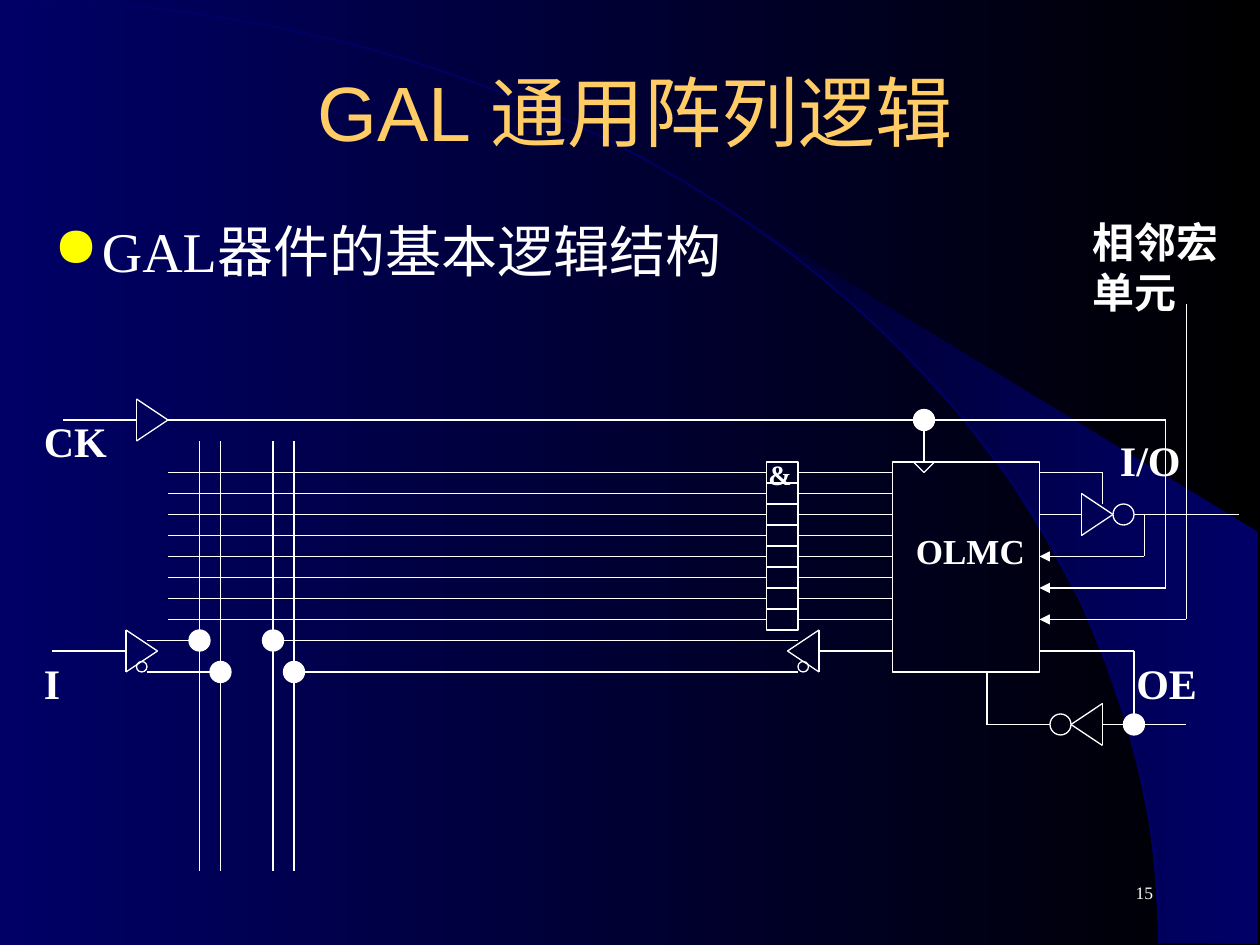
from typing import NamedTuple

from lxml import etree
from pptx import Presentation
from pptx.dml.color import RGBColor
from pptx.enum.shapes import MSO_CONNECTOR, MSO_SHAPE
from pptx.enum.text import MSO_ANCHOR, PP_ALIGN
from pptx.oxml.ns import qn
from pptx.util import Inches, Pt

COLORS = {"ink": "FFFFFF", "title": "FFCC66", "bullet": "FFFF00",
          "navy": "000066", "dusk": "00002F", "black": "000000"}
SERIF, SANS = "Times New Roman", "Arial"
TOP, LEFT, BOTTOM, RIGHT = range(4)  # connection sites of a rectangle


class Label(NamedTuple):
    text: str
    box: tuple[float, float, float, float]  # inches
    size: float
    bold: bool = True
    font: str = SERIF
    color: str = "ink"
    align: PP_ALIGN = PP_ALIGN.LEFT
    anchor: MSO_ANCHOR = MSO_ANCHOR.TOP
    side_inset: float = 0.1


# The circuit lies on a grid of twelfths of an inch
class Wire(NamedTuple):
    points: list[tuple[int, int]]
    arrow: bool = False


class Gate(NamedTuple):
    base: int
    tip: int
    middle: int


class Circle(NamedTuple):
    x: int
    y: int
    size: int = 2
    filled: bool = False


def rgb(name: str) -> RGBColor:
    return RGBColor.from_string(COLORS[name])


def grid(steps: float) -> int:
    return Inches(steps / 12)


def set_gradient(fill, start: str, end: str) -> None:
    fill.gradient()
    fill.gradient_angle = 0
    for stop, name, position in zip(fill.gradient_stops, (start, end), (0, 1)):
        stop.color.rgb = rgb(name)
        stop.position = position


def add_outline(points: list[tuple[float, float]], close: bool):
    corners = [(Inches(x), Inches(y)) for x, y in points]
    builder = slide.shapes.build_freeform(*corners[0])
    builder.add_line_segments(corners[1:], close=close)
    outline = builder.convert_to_shape()
    outline.shadow.inherit = False
    return outline


def add_label(label: Label):
    box = slide.shapes.add_textbox(*map(Inches, label.box))
    frame = box.text_frame
    frame.word_wrap = True
    frame.vertical_anchor = label.anchor
    frame.margin_left = frame.margin_right = Inches(label.side_inset)
    paragraph = frame.paragraphs[0]
    paragraph.text = label.text
    paragraph.alignment = label.align
    font = paragraph.font
    font.name, font.size, font.bold = label.font, Pt(label.size), label.bold
    font.color.rgb = rgb(label.color)
    return paragraph


def add_bullet(paragraph) -> None:
    properties = paragraph._p.get_or_add_pPr()
    properties.set("marL", str(Inches(0.38)))
    properties.set("indent", str(-Inches(0.38)))
    color = etree.Element(qn("a:buClr"))
    etree.SubElement(color, qn("a:srgbClr"), val=COLORS["bullet"])
    mark = etree.Element(qn("a:buChar"), char="●")
    properties.insert(0, color)
    properties.insert(1, mark)


def add_part(kind: MSO_SHAPE, x: int, y: int, width: int, height: int, filled: bool = False):
    part = slide.shapes.add_shape(kind, grid(x), grid(y), grid(width), grid(height))
    part.shadow.inherit = False
    if filled:
        part.fill.solid()
        part.fill.fore_color.rgb = rgb("ink")
    else:
        part.fill.background()
    part.line.color.rgb = rgb("ink")
    part.line.width = Pt(0.75)
    return part


def add_segment(start: tuple[int, int], end: tuple[int, int], arrow: bool = False):
    segment = slide.shapes.add_connector(
        MSO_CONNECTOR.STRAIGHT, *map(grid, start), *map(grid, end))
    segment.line.color.rgb = rgb("ink")
    segment.line.width = Pt(0.75)
    if arrow:
        etree.SubElement(segment.line._get_or_add_ln(), qn("a:tailEnd"), type="triangle")
    etree.SubElement(segment._element.spPr, qn("a:effectLst"))
    return segment


def add_wire(wire: Wire) -> None:
    last = len(wire.points) - 2
    for i, ends in enumerate(zip(wire.points, wire.points[1:])):
        add_segment(*ends, arrow=wire.arrow and i == last)


def add_gate(gate: Gate) -> None:
    upper, lower = (gate.base, gate.middle - 2), (gate.base, gate.middle + 2)
    add_wire(Wire([upper, lower, (gate.tip, gate.middle), upper]))


prs = Presentation()
prs.slide_width, prs.slide_height = Inches(10), Inches(7.5)
slide = prs.slides.add_slide(prs.slide_layouts[6])

# Backdrop: gradient, lit wedge and arc
set_gradient(slide.background.fill, "navy", "black")
wedge = add_outline([
    (9.2, 7.48), (9.99, 7.49), (9.99, 4.23), (5.89, 1.73), (6.24, 1.99), (6.53, 2.22),
    (6.85, 2.5), (7.16, 2.8), (7.62, 3.3), (8.03, 3.84), (8.32, 4.31), (8.58, 4.79),
    (8.78, 5.28), (8.93, 5.72), (9.03, 6.09), (9.13, 6.56), (9.17, 6.96)], close=True)
set_gradient(wedge.fill, "dusk", "navy")
wedge.line.fill.background()

ARC_STEPS = 40
arc_points = []
for step in range(ARC_STEPS + 1):
    t = step / ARC_STEPS
    u = 1 - t
    arc_points.append((3 * u * u * t * 5.08 + 3 * u * t * t * 9.2 + t ** 3 * 9.2,
                       3 * u * t * t * 3.35 + t ** 3 * 7.49))
arc = add_outline(arc_points, close=False)
arc.fill.background()
arc.line.color.rgb = rgb("navy")
arc.line.width = Pt(1)

# Headings and slide number
add_label(Label("15", (7.17, 6.83, 2.08, 0.5), 10, False,
                align=PP_ALIGN.RIGHT, anchor=MSO_ANCHOR.MIDDLE))
add_label(Label("GAL 通用阵列逻辑", (0.33, 0.25, 9.42, 1.25), 44, False, SANS, "title",
                PP_ALIGN.CENTER, MSO_ANCHOR.MIDDLE))
add_bullet(add_label(Label("GAL器件的基本逻辑结构", (0.33, 1.67, 9.42, 5), 32, False)))

# Macrocell and AND array
add_part(MSO_SHAPE.RECTANGLE, 85, 44, 14, 20)
for row in range(45, 60, 2):
    and_cell = add_part(MSO_SHAPE.RECTANGLE, 73, row - 1, 3, 2)
    add_segment((16, row), (73, row)).end_connect(and_cell, LEFT)
    add_segment((76, row), (85, row)).begin_connect(and_cell, RIGHT)
for column in (19, 21, 26, 28):
    add_segment((column, 42), (column, 83))

# Buffers: clock, input, feedback, output, output enable
for gate in (Gate(13, 16, 40), Gate(12, 15, 62), Gate(78, 75, 62),
             Gate(103, 106, 49), Gate(105, 102, 69)):
    add_gate(gate)

WIRES = [
    # Clock
    Wire([(6, 40), (13, 40)]), Wire([(16, 40), (88, 40), (88, 44)]),
    Wire([(87, 44), (88, 45), (89, 44)]),
    Wire([(88, 40), (111, 40), (111, 56), (99, 56)], arrow=True),
    # Input and feedback
    Wire([(5, 62), (12, 62)]), Wire([(14, 61), (19, 61)]), Wire([(14, 64), (21, 64)]),
    Wire([(78, 62), (85, 62)]), Wire([(26, 61), (76, 61)]), Wire([(28, 64), (76, 64)]),
    # Output
    Wire([(99, 49), (103, 49)]), Wire([(108, 49), (118, 49)]),
    Wire([(99, 45), (105, 45), (105, 48)]),
    Wire([(109, 49), (109, 53), (99, 53)], arrow=True),
    # Output enable
    Wire([(105, 69), (113, 69)]), Wire([(99, 62), (108, 62), (108, 69)]),
    Wire([(100, 69), (94, 69), (94, 64)]),
    # Neighbouring macrocell
    Wire([(113, 29), (113, 59), (99, 59)], arrow=True),
]
for wire in WIRES:
    add_wire(wire)

# Inversion bubbles and junction dots
bubbles = [Circle(13, 63, 1), Circle(76, 63, 1), Circle(106, 48), Circle(100, 68)]
junctions = [(19, 61), (21, 64), (26, 61), (28, 64), (88, 40), (108, 69)]
dots = [Circle(x - 1, y - 1, filled=True) for x, y in junctions]
for circle in bubbles + dots:
    add_part(MSO_SHAPE.OVAL, circle.x, circle.y, circle.size, circle.size, circle.filled)

# Circuit labels
for label in (Label("OLMC", (7.17, 4.15, 1.08, 0.44), 20),
              Label("&", (6, 3.58, 0.42, 0.37), 16),
              Label("I", (0.25, 5.17, 0.67, 0.5), 24),
              Label("CK", (0.25, 3.25, 0.83, 0.5), 24),
              Label("OE", (8.92, 5.17, 0.75, 0.5), 24),
              Label("I/O", (8.79, 3.4, 0.83, 0.5), 24),
              Label("相邻宏单元", (8.67, 1.67, 1.17, 0.9), 24, side_inset=0)):
    add_label(label)

prs.save("out.pptx")
